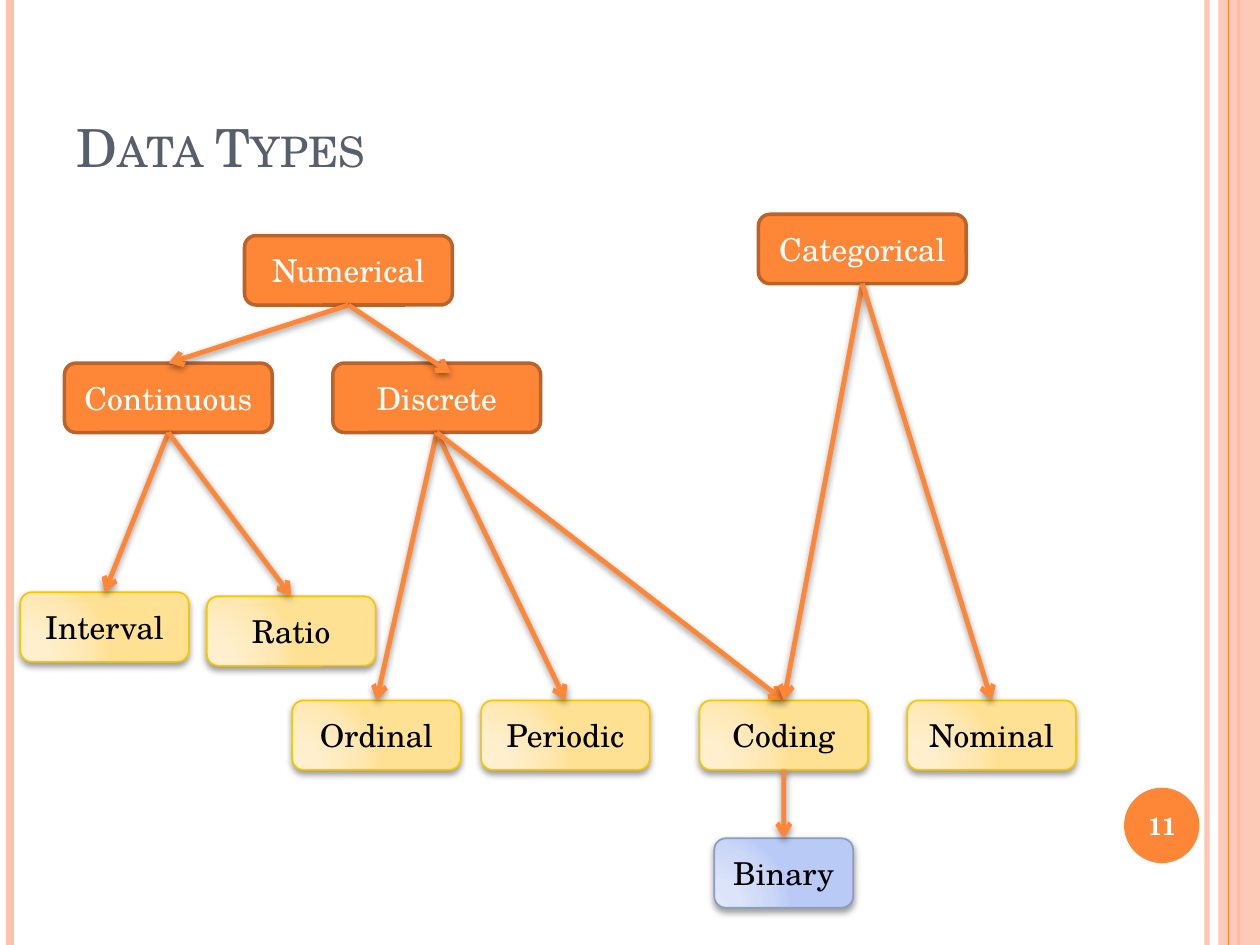
from lxml import etree
from pptx import Presentation
from pptx.dml.color import RGBColor
from pptx.enum.shapes import MSO_CONNECTOR, MSO_SHAPE
from pptx.enum.text import MSO_ANCHOR, PP_ALIGN
from pptx.oxml import parse_xml
from pptx.oxml.ns import nsdecls, qn
from pptx.util import Cm, Pt

STRAIGHT = MSO_CONNECTOR.STRAIGHT
RECTANGLE, ROUNDED, OVAL = MSO_SHAPE.RECTANGLE, MSO_SHAPE.ROUNDED_RECTANGLE, MSO_SHAPE.OVAL
MIDDLE, BOTTOM, CENTER = MSO_ANCHOR.MIDDLE, MSO_ANCHOR.BOTTOM, PP_ALIGN.CENTER
TOP_SITE, BOTTOM_SITE = 0, 2

FONT = "TeX Gyre Schola"
COLORS = {
    "orange": "FE8637", "dark orange": "BC6329", "peach": "FEC3AE", "title": "575F6D",
    "gold": "F8C700", "slate": "8D9CBF", "white": "FFFFFF", "black": "000000",
}
SLIDE_WIDTH, SLIDE_HEIGHT = 25.4, 19.05
BOX_HEIGHT = 1.4
GRADIENT_STOPS = (0, 30, 75, 100)

# level: width, outline, outline points, text colour, gradient (None means plain orange)
LEVELS = {
    "group": (4.19, "dark orange", 2, "white", None),
    "type": (3.4, "gold", 1, "black", ("FFF0D1", "FFEFCC", "FFE7B1", "FFE193")),
    "subtype": (2.8, "slate", 1, "black", ("DEE6FA", "DBE4F9", "CAD7F7", "B8CAF5")),
}
# name, level, left, top
NODES = [
    ("Discrete", "group", 6.71, 7.32),
    ("Categorical", "group", 15.29, 4.32),
    ("Continuous", "group", 1.3, 7.32),
    ("Numerical", "group", 4.93, 4.75),
    ("Interval", "type", 0.41, 11.94),
    ("Ratio", "type", 4.17, 12.02),
    ("Ordinal", "type", 5.89, 14.12),
    ("Periodic", "type", 9.7, 14.12),
    ("Nominal", "type", 18.29, 14.12),
    ("Coding", "type", 14.1, 14.12),
    ("Binary", "subtype", 14.4, 16.9),
]
CHILDREN = {
    "Numerical": ["Continuous", "Discrete"],
    "Continuous": ["Interval", "Ratio"],
    "Discrete": ["Ordinal", "Periodic", "Coding"],
    "Categorical": ["Coding", "Nominal"],
    "Coding": ["Binary"],
}
# Arrows whose tip lies inside the box instead of on its edge
FREE_TIPS = {("Numerical", "Discrete"): (9.09, 7.52)}

# x, colour, points, opacity in percent
OUTER_RULES = [
    (24.33, "peach", 3, 93),
    (0.2, "peach", 4.5, 100),
    (24.97, "orange", 1.5, 100),
]
INNER_RULE = (24.77, "orange", 0.75, 100)


def rgb(name):
    return RGBColor.from_string(COLORS[name])


def set_opacity(fill_parent, percent):
    color = fill_parent.find(".//" + qn("a:srgbClr"))
    etree.SubElement(color, qn("a:alpha")).set("val", str(percent * 1000))


def add_shadow(effects, opacity, distance):
    effects.append(parse_xml(
        f'<a:outerShdw {nsdecls("a")} blurRad="{Pt(4)}" dist="{Pt(distance)}" dir="5400000" '
        f'rotWithShape="0"><a:srgbClr val="{COLORS["black"]}">'
        f'<a:alpha val="{opacity * 1000}"/></a:srgbClr></a:outerShdw>'))


def add_line(slide, start, end, color, points):
    """Add a straight line and return it with its empty effect list."""
    line = slide.shapes.add_connector(STRAIGHT, *(Cm(v) for v in (*start, *end)))
    line.line.color.rgb = rgb(color)
    line.line.width = Pt(points)
    return line, etree.SubElement(line._element.spPr, qn("a:effectLst"))


def add_rule(slide, x, color, points, opacity):
    rule, _ = add_line(slide, (x, 0), (x, SLIDE_HEIGHT), color, points)
    if opacity < 100:
        set_opacity(rule.line._ln, opacity)


def add_plain_shape(slide, kind, bounds, color):
    shape = slide.shapes.add_shape(kind, *(Cm(v) for v in bounds))
    shape.shadow.inherit = False
    shape.fill.solid()
    shape.fill.fore_color.rgb = rgb(color)
    shape.line.fill.background()
    return shape


def write(shape, text, size, color, anchor=MIDDLE, align=CENTER, bold=False):
    frame = shape.text_frame
    frame.word_wrap = True
    frame.vertical_anchor = anchor
    frame.text = text
    paragraph = frame.paragraphs[0]
    paragraph.alignment = align
    font = paragraph.runs[0].font
    font.name, font.size, font.bold = FONT, Pt(size), bold
    font.color.rgb = rgb(color)
    return font


def add_text(slide, bounds, *args, **options):
    return write(slide.shapes.add_textbox(*(Cm(v) for v in bounds)), *args, **options)


def fill_with_gradient(shape, colors):
    stops = "".join(f'<a:gs pos="{position * 1000}"><a:srgbClr val="{color}"/></a:gs>'
                    for position, color in zip(GRADIENT_STOPS, colors))
    gradient = parse_xml(
        f'<a:gradFill {nsdecls("a")} rotWithShape="1"><a:gsLst>{stops}</a:gsLst>'
        '<a:path path="circle"><a:fillToRect l="5000" t="100000" r="120000" b="10000"/>'
        '</a:path></a:gradFill>')
    properties = shape._element.spPr
    properties.replace(properties.find(qn("a:solidFill")), gradient)


def add_node(slide, name, level, left, top):
    width, outline, points, text_color, gradient = LEVELS[level]
    box = add_plain_shape(slide, ROUNDED, (left, top, width, BOX_HEIGHT), "orange")
    box.line.color.rgb = rgb(outline)
    box.line.width = Pt(points)
    if gradient:
        fill_with_gradient(box, gradient)
        add_shadow(box._element.spPr.find(qn("a:effectLst")), 40, 2)
    write(box, name, 18, text_color)
    return box


def add_arrow(slide, parent, child, free_tip):
    arrow, effects = add_line(slide, (0, 0), free_tip or (0, 0), "orange", 2.75)
    arrow.begin_connect(parent, BOTTOM_SITE)
    if not free_tip:
        arrow.end_connect(child, TOP_SITE)
    etree.SubElement(arrow.line._ln, qn("a:tailEnd")).set("type", "arrow")
    add_shadow(effects, 42, 1.6)


def main():
    deck = Presentation()
    deck.slide_width, deck.slide_height = Cm(SLIDE_WIDTH), Cm(SLIDE_HEIGHT)
    slide = deck.slides.add_slide(deck.slide_layouts[6])

    for rule in OUTER_RULES:
        add_rule(slide, *rule)
    band = add_plain_shape(slide, RECTANGLE, (24.56, 0, 0.84, SLIDE_HEIGHT), "peach")
    set_opacity(band._element.spPr, 87)
    add_rule(slide, *INNER_RULE)
    add_plain_shape(slide, OVAL, (22.66, 15.88, 1.52, 1.52), "orange")

    title = add_text(slide, (1.3, 0.53, 20.75, 3.18), "Data Types", 30, "title",
                     anchor=BOTTOM, align=PP_ALIGN.LEFT)
    title._element.set("cap", "small")

    boxes = {node[0]: add_node(slide, *node) for node in NODES}
    for parent, children in CHILDREN.items():
        for child in children:
            add_arrow(slide, boxes[parent], boxes[child], FREE_TIPS.get((parent, child)))

    add_text(slide, (22.58, 15.93, 1.7, 1.45), "11", 14, "white", bold=True)
    deck.save("out.pptx")


if __name__ == "__main__":
    main()
